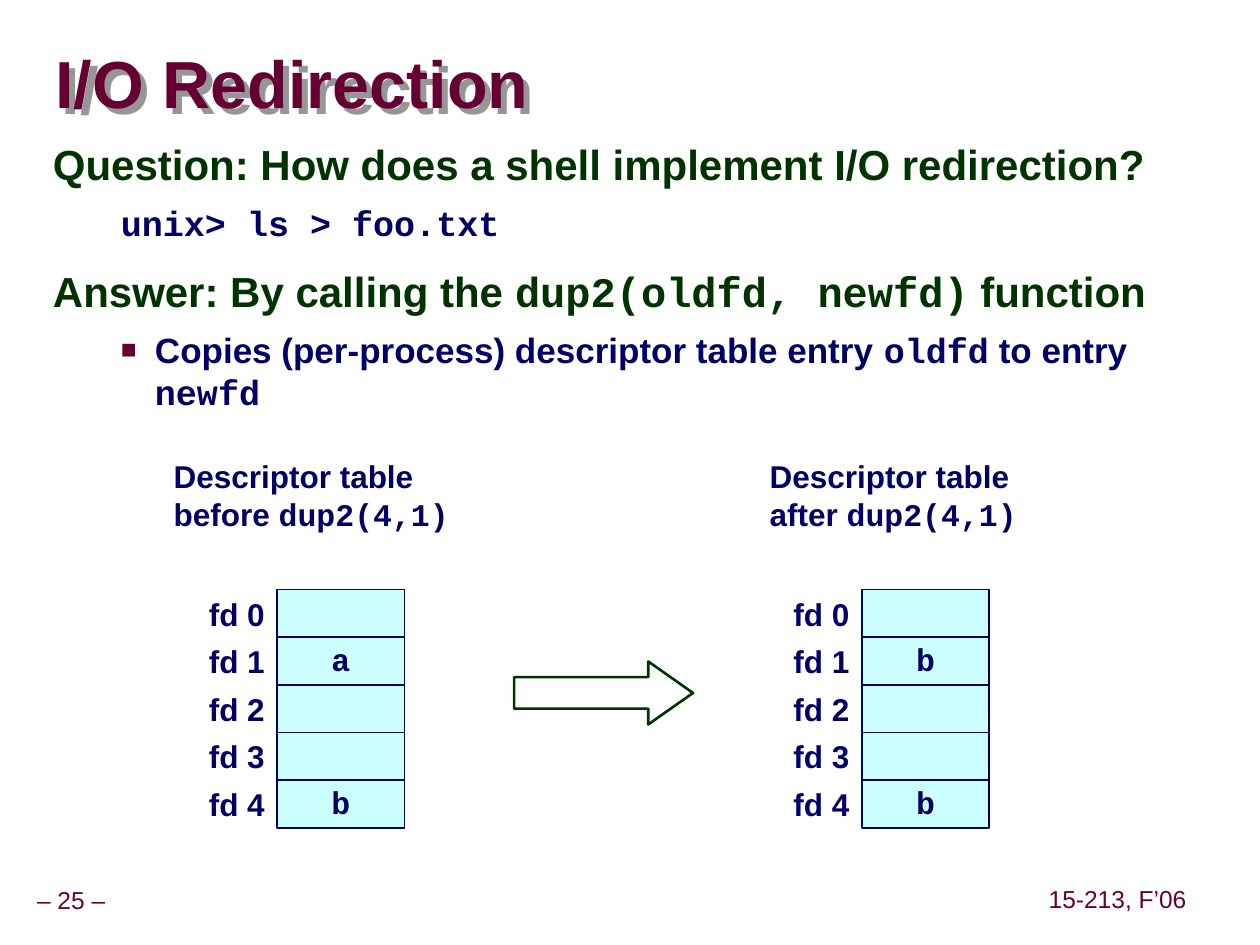
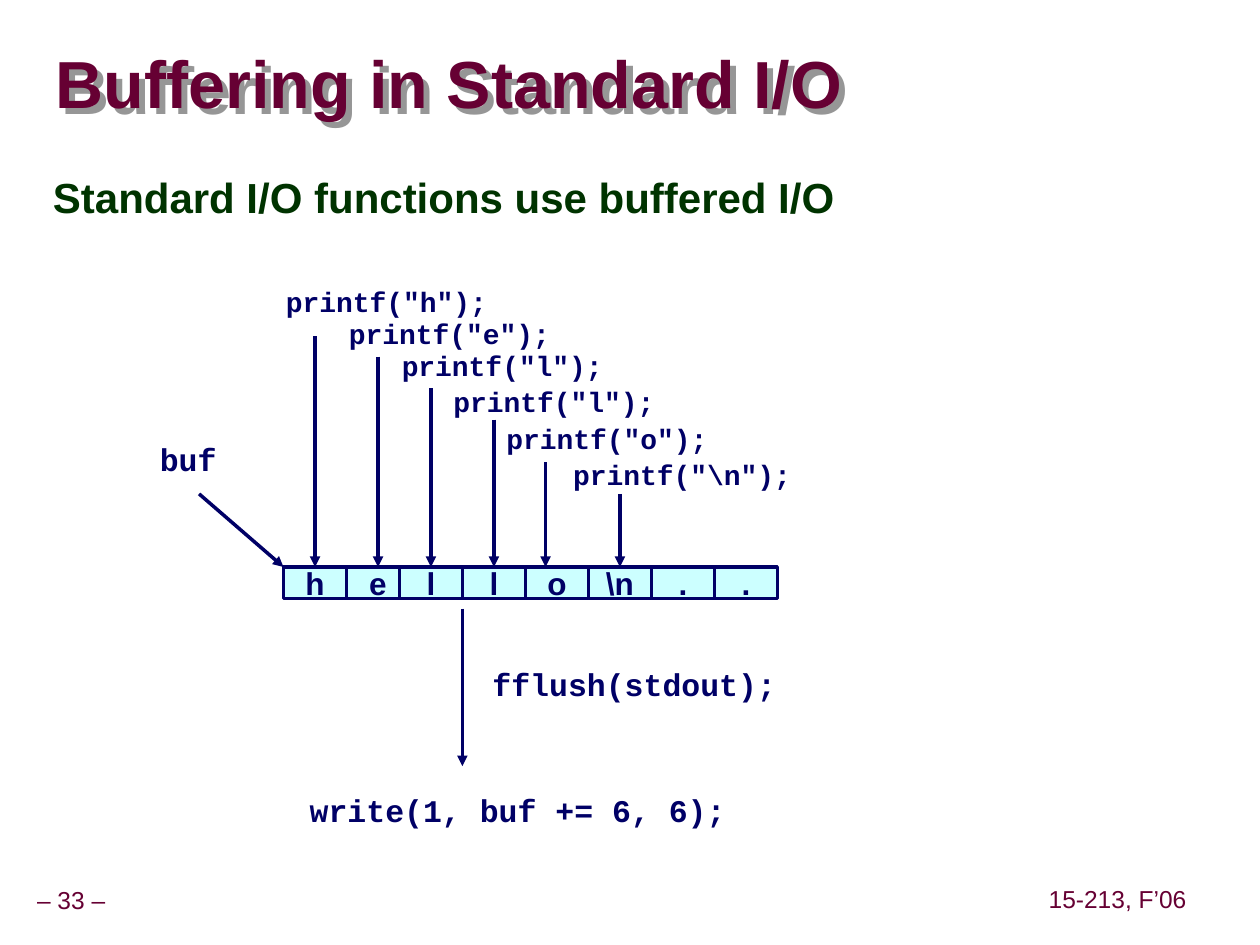
"""Build two lecture slides on I/O redirection and buffered standard I/O."""
from lxml import etree
from pptx import Presentation
from pptx.dml.color import RGBColor
from pptx.enum.shapes import MSO_CONNECTOR, MSO_SHAPE
from pptx.enum.text import MSO_ANCHOR, MSO_AUTO_SIZE, PP_ALIGN
from pptx.oxml.ns import qn
from pptx.util import Emu, Inches, Pt

LEFT, CENTER, RIGHT = PP_ALIGN.LEFT, PP_ALIGN.CENTER, PP_ALIGN.RIGHT
TOP, MIDDLE = MSO_ANCHOR.TOP, MSO_ANCHOR.MIDDLE
RECTANGLE, RIGHT_ARROW = MSO_SHAPE.RECTANGLE, MSO_SHAPE.RIGHT_ARROW
STRAIGHT = MSO_CONNECTOR.STRAIGHT
FIXED_SIZE = MSO_AUTO_SIZE.NONE

SANS, MONO = "Arial", "Courier New"
MAROON, GREEN, NAVY = "660033", "003300", "000066"
CELL_FILL, SHADOW_GRAY = "CCFFFF", "969696"

COURSE = "15-213, F’06"
HEADING = {"size": 24, "color": GREEN, "line_spacing": 0.95, "before": 15,
           "margin": 0.42, "hanging": 0.42}
DETAIL = {"size": 20, "color": NAVY, "before": 6.2, "level": 1,
          "margin": 0.81, "hanging": 0.27}

REDIRECTION = {
    "title": "I/O Redirection",
    "number": 25,
    "body_area": (0.32, 1.08, 9.09, 2.67),
    "body": [
        (["Question: How does a shell implement I/O redirection?"], HEADING),
        ([("unix> ls > foo.txt", MONO)], DETAIL),
        (["Answer: By calling the ", ("dup2(oldfd, newfd)", MONO), " function"],
         HEADING),
        (["Copies (per-process) descriptor table entry ", ("oldfd", MONO),
          " to entry ", ("newfd", MONO)], {**DETAIL, "bullet": "■"}),
    ],
}
BUFFERING = {
    "title": "Buffering in Standard I/O",
    "number": 33,
    "body_area": (0.32, 1.34, 9.09, 5.71),
    "body": [(["Standard I/O functions use buffered I/O"], HEADING)],
}

DESCRIPTOR_TABLES = [
    {"when": "before ", "left": 2.2, "caption_area": (1.28, 3.58, 2.38, 0.7),
     "entries": ["", "a", "", "", "b"]},
    {"when": "after ", "left": 6.84, "caption_area": (6.01, 3.58, 2.16, 0.7),
     "entries": ["", "b", "", "", "b"]},
]
TABLE_TOP, ENTRY_WIDTH, ENTRY_HEIGHT = 4.68, 1.01, 1.89 / 5

BUFFER_CELLS = [("h", 2.25), ("e", 2.75), ("l", 3.17), ("l", 3.67),
                ("o", 4.17), ("\\n", 4.67), (".", 5.17), (".", 5.67)]
BUFFER_TOP, CELL_WIDTH, CELL_HEIGHT = 4.5, 0.5, 0.25
PRINT_CALLS = [
    ('printf("h");', (2.17, 2.21), (2.5, 2.67)),
    ('printf("e");', (2.67, 2.46), (3, 2.83)),
    ('printf("l");', (3.09, 2.72), (3.42, 3.08)),
    ('printf("l");', (3.5, 3), (3.92, 3.33)),
    ('printf("o");', (3.92, 3.3), (4.33, 3.67)),
    ('printf("\\n");', (4.45, 3.58), (4.92, 3.92)),
]
CODE_LABELS = [
    ("buf", (1.17, 3.44, 0.65, 0.4)),
    ("fflush(stdout);", (3.81, 5.23, 2.45, 0.4)),
    ("write(1, buf += 6, 6);", (2.36, 6.23, 3.5, 0.4)),
]
OTHER_ARROWS = [((1.58, 3.92), (2.25, BUFFER_TOP)), ((3.67, 4.83), (3.67, 6.08))]


def rgb(color):
    """Turn a hex string into a colour."""
    return RGBColor.from_string(color)


def inches(values):
    """Turn numbers into lengths."""
    return [Inches(value) for value in values]


def add_xml(parent, tag, **attributes):
    """Append a DrawingML element and return it."""
    return etree.SubElement(parent, qn(f"a:{tag}"), attributes)


def set_indent(para, margin, hanging, bullet):
    """Set the hanging indent and the bullet of a paragraph."""
    properties = para._p.get_or_add_pPr()
    properties.set("marL", str(Inches(margin)))
    properties.set("indent", str(-Inches(hanging)))
    if bullet:
        add_xml(add_xml(properties, "buClr"), "srgbClr", val=MAROON)
        add_xml(properties, "buSzPct", val="75000")
        add_xml(properties, "buFont", typeface=SANS)
        add_xml(properties, "buChar", char=bullet)
    else:
        add_xml(properties, "buNone")


def write(para, spans, font=SANS, size=18, color=NAVY, bold=True, align=LEFT,
          line_spacing=1.0, before=0, level=0, margin=0, hanging=0, bullet=None):
    """Fill a paragraph with spans, each a string or a (string, font) pair."""
    para.level = level
    set_indent(para, margin, hanging, bullet)
    para.alignment = align
    para.line_spacing = line_spacing
    para.space_before, para.space_after = Pt(before), Pt(0)
    for span in spans:
        text, face = (span, font) if isinstance(span, str) else span
        run = para.add_run()
        run.text = text
        run.font.name, run.font.size, run.font.bold = face, Pt(size), bold
        run.font.color.rgb = rgb(color)


def fill_frame(shape, paragraphs, anchor=TOP, wrap=False, insets=(0.1, 0.05), **style):
    """Write paragraphs of (spans, format) into the frame of a shape."""
    frame = shape.text_frame
    frame.auto_size, frame.word_wrap, frame.vertical_anchor = FIXED_SIZE, wrap, anchor
    frame.margin_left = frame.margin_right = Inches(insets[0])
    frame.margin_top = frame.margin_bottom = Inches(insets[1])
    for index, (spans, extra) in enumerate(paragraphs):
        para = frame.add_paragraph() if index else frame.paragraphs[0]
        options = {**style, **extra}
        if not index:
            options["before"] = 0
        write(para, spans, **options)


def add_label(page, text, area, **style):
    """Add a one-line text box."""
    fill_frame(page.shapes.add_textbox(*inches(area)), [([text], {})], **style)


def add_outline(page, kind, area, color, width, fill=None):
    """Add a preset shape with a line and an optional fill."""
    shape = page.shapes.add_shape(kind, *inches(area))
    shape.shadow.inherit = False
    shape.line.color.rgb, shape.line.width = rgb(color), Pt(width)
    if fill:
        shape.fill.solid()
        shape.fill.fore_color.rgb = rgb(fill)
    else:
        shape.fill.background()
    return shape


def add_cell(page, text, area, width, **style):
    """Add a light cell with centred text."""
    cell = add_outline(page, RECTANGLE, area, NAVY, width, CELL_FILL)
    if text:
        fill_frame(cell, [([text], {})], anchor=MIDDLE, align=CENTER, **style)


def add_arrow(page, start, end):
    """Add a line with an arrowhead at its end."""
    arrow = page.shapes.add_connector(STRAIGHT, *inches(start + end))
    arrow.line.color.rgb, arrow.line.width = rgb(NAVY), Pt(2)
    add_xml(arrow.line._get_or_add_ln(), "tailEnd", type="triangle")
    add_xml(arrow._element.spPr, "effectLst")


def place(shape, area):
    """Move and size a placeholder."""
    shape.left, shape.top, shape.width, shape.height = inches(area)


def add_page(deck, content):
    """Add a slide with its title, body text and footers."""
    page = deck.slides.add_slide(deck.slide_layouts[1])
    title, body = page.placeholders
    place(title, (0.44, 0.27, 9.53, 0.85))
    title.fill.background()
    effects = add_xml(title._element.spPr, "effectLst")
    shadow = add_xml(effects, "outerShdw", dist=str(Emu(Inches(0.07))),
                     dir="2700000", algn="ctr", rotWithShape="0")
    add_xml(shadow, "srgbClr", val=SHADOW_GRAY)
    fill_frame(title, [([content["title"]], {})], anchor=MIDDLE, wrap=True,
               insets=(0, 0), size=38, color=MAROON, line_spacing=0.87)
    place(body, content["body_area"])
    fill_frame(body, content["body"], wrap=True)
    footers = [(f"– {content['number']} –", (-0.09, 7, 1.31, 0.31)),
               (COURSE, (8.27, 6.99, 1.2, 0.31))]
    for text, area in footers:
        add_label(page, text, area, anchor=MIDDLE, insets=(0.05, 0.05), size=14,
                  color=MAROON, bold=False, align=CENTER, line_spacing=0.9)
    return page


def draw_descriptor_table(page, table):
    """Draw a captioned column of file descriptors."""
    for index, entry in enumerate(table["entries"]):
        top = TABLE_TOP + index * ENTRY_HEIGHT
        add_cell(page, entry, (table["left"], top, ENTRY_WIDTH, ENTRY_HEIGHT), 1,
                 font=MONO, line_spacing=0.9)
        add_label(page, f"fd {index}",
                  (table["left"] - ENTRY_WIDTH, top, ENTRY_WIDTH, ENTRY_HEIGHT),
                  anchor=MIDDLE, align=RIGHT)
    caption = page.shapes.add_textbox(*inches(table["caption_area"]))
    fill_frame(caption, [(["Descriptor table"], {}),
                         ([table["when"], ("dup2(4,1)", MONO)], {})], anchor=MIDDLE)


def draw_buffer(page):
    """Draw the buffer, the calls that fill it and the flush."""
    for text, left in BUFFER_CELLS:
        add_cell(page, text, (left, BUFFER_TOP, CELL_WIDTH, CELL_HEIGHT), 2)
    for call, corner, start in PRINT_CALLS:
        width = 1.93 if "\\" in call else 1.79
        add_label(page, call, corner + (width, 0.37), font=MONO, size=16)
        add_arrow(page, start, (start[0], BUFFER_TOP))
    for text, area in CODE_LABELS:
        add_label(page, text, area, font=MONO)
    for start, end in OTHER_ARROWS:
        add_arrow(page, start, end)


def main():
    """Build and save the deck."""
    deck = Presentation()
    deck.slide_width, deck.slide_height = Inches(10), Inches(7.5)
    page = add_page(deck, REDIRECTION)
    for table in DESCRIPTOR_TABLES:
        draw_descriptor_table(page, table)
    arrow = add_outline(page, RIGHT_ARROW, (4.08, 5.25, 1.42, 0.5), GREEN, 1.5)
    arrow.adjustments[1] = 0.71
    draw_buffer(add_page(deck, BUFFERING))
    deck.save("out.pptx")


if __name__ == "__main__":
    main()
